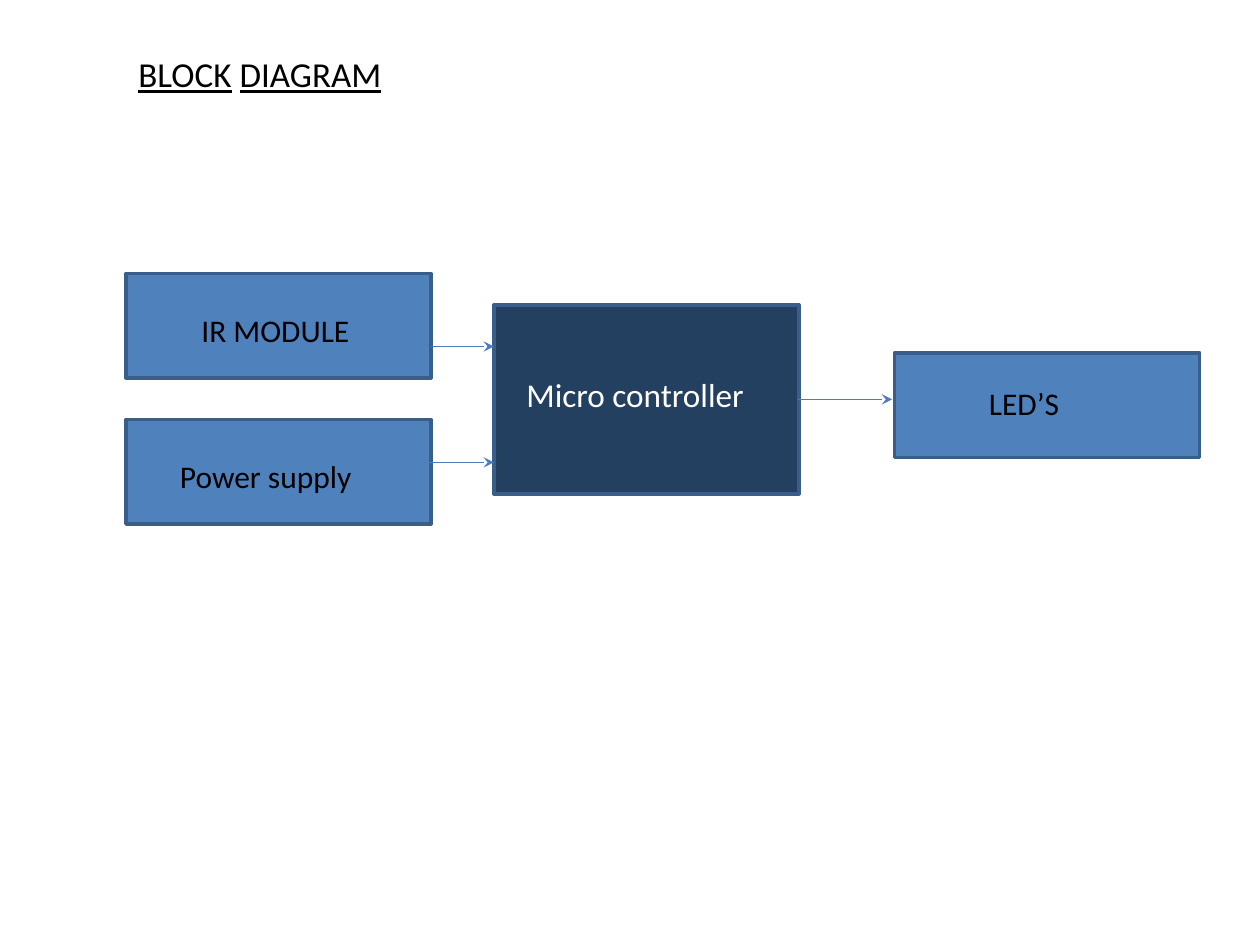
from dataclasses import dataclass

from lxml import etree
from pptx import Presentation
from pptx.dml.color import RGBColor
from pptx.enum import shapes as kinds, text as txt
from pptx.oxml import ns
from pptx.util import Inches, Pt


@dataclass(frozen=True)
class Theme:
    """Colours, font and type sizes of the slide."""
    font: str = "Calibri"
    ink: str = "000000"
    pale: str = "FFFFFF"
    blue: str = "4F81BD"
    navy: str = "244061"
    edge: str = "395E89"
    wire: str = "4A7DBA"
    head: int = 20
    core: int = 19
    body: int = 18


THEME = Theme()


def paint(line, color, width):
    """Set the colour and width of a line."""
    line.color.rgb = RGBColor.from_string(color)
    line.width = Pt(width)


def add_box(slide, left, top, height, fill):
    """Add one block of the diagram."""
    box = slide.shapes.add_shape(
        kinds.MSO_SHAPE.RECTANGLE,
        Inches(left), Inches(top), Inches(2.42), Inches(height))
    box.shadow.inherit = False
    box.fill.solid()
    box.fill.fore_color.rgb = RGBColor.from_string(fill)
    paint(box.line, THEME.edge, 2)


def add_arrow(slide, start, end, y):
    """Add a level arrow that points right."""
    arrow = slide.shapes.add_connector(
        kinds.MSO_CONNECTOR.STRAIGHT,
        Inches(start), Inches(y), Inches(end), Inches(y))
    paint(arrow.line, THEME.wire, 0.75)
    tip = etree.SubElement(arrow.line._get_or_add_ln(), ns.qn("a:tailEnd"))
    tip.set("type", "stealth")
    etree.SubElement(arrow._element.spPr, ns.qn("a:effectLst"))


def add_label(slide, place, words, size, color):
    """Add a text box and return its paragraph with one run per word part."""
    label = slide.shapes.add_textbox(*map(Inches, place))
    frame = label.text_frame
    frame.word_wrap = True
    frame.auto_size = txt.MSO_AUTO_SIZE.SHAPE_TO_FIT_TEXT
    para = frame.paragraphs[0]
    for word in words:
        run = para.add_run()
        run.text = word
        run.font.name = THEME.font
        run.font.size = Pt(size)
        run.font.color.rgb = RGBColor.from_string(color)
    return para


def add_title(slide):
    """Add the heading with each word underlined."""
    para = add_label(slide, (1, 0.37, 4.42, 0.44),
                     ("BLOCK", " ", "DIAGRAM"), THEME.head, THEME.ink)
    for run in para.runs:
        run.font.underline = bool(run.text.strip())


def main():
    """Build the block diagram slide."""
    deck = Presentation()
    deck.slide_width, deck.slide_height = Inches(10), Inches(7.5)
    slide = deck.slides.add_slide(deck.slide_layouts[6])
    add_title(slide)
    for left, top in ((1, 2.17), (1, 3.33), (7.1, 2.8)):
        add_box(slide, left, top, 0.83, THEME.blue)
    add_box(slide, 3.92, 2.42, 1.5, THEME.navy)
    for start, end, y in ((3.33, 3.92, 3.67), (3.42, 3.92, 2.75),
                          (6.33, 7.08, 3.17)):
        add_arrow(slide, start, end, y)
    for place, word, size, color in (
            ((1.5, 2.42, 1.92, 0.42), "IR MODULE", THEME.body, THEME.ink),
            ((1.33, 3.58, 2.17, 0.42), "Power supply", THEME.body, THEME.ink),
            ((4.08, 2.92, 2.08, 0.42), "Micro controller",
             THEME.core, THEME.pale),
            ((7.75, 3, 1.67, 0.4), "LED’S", THEME.body, THEME.ink)):
        add_label(slide, place, [word], size, color)
    deck.save("out.pptx")


if __name__ == "__main__":
    main()
